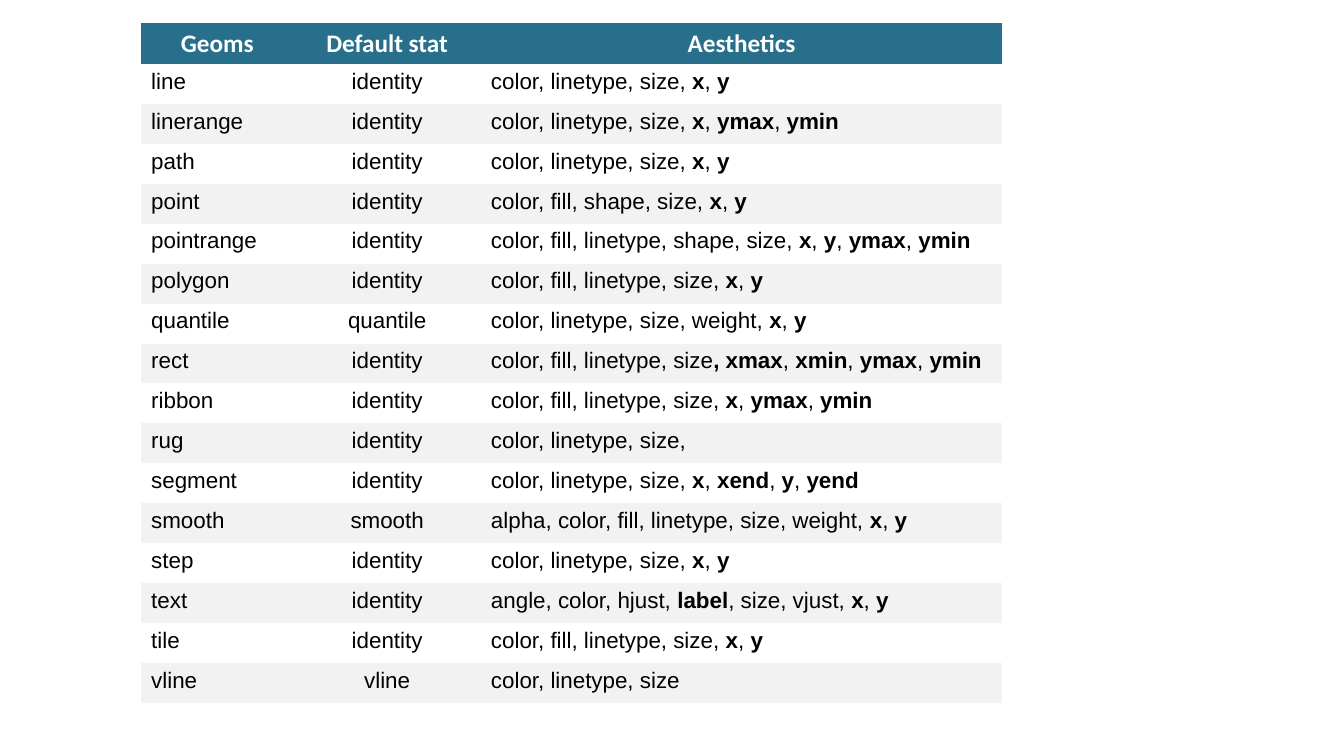
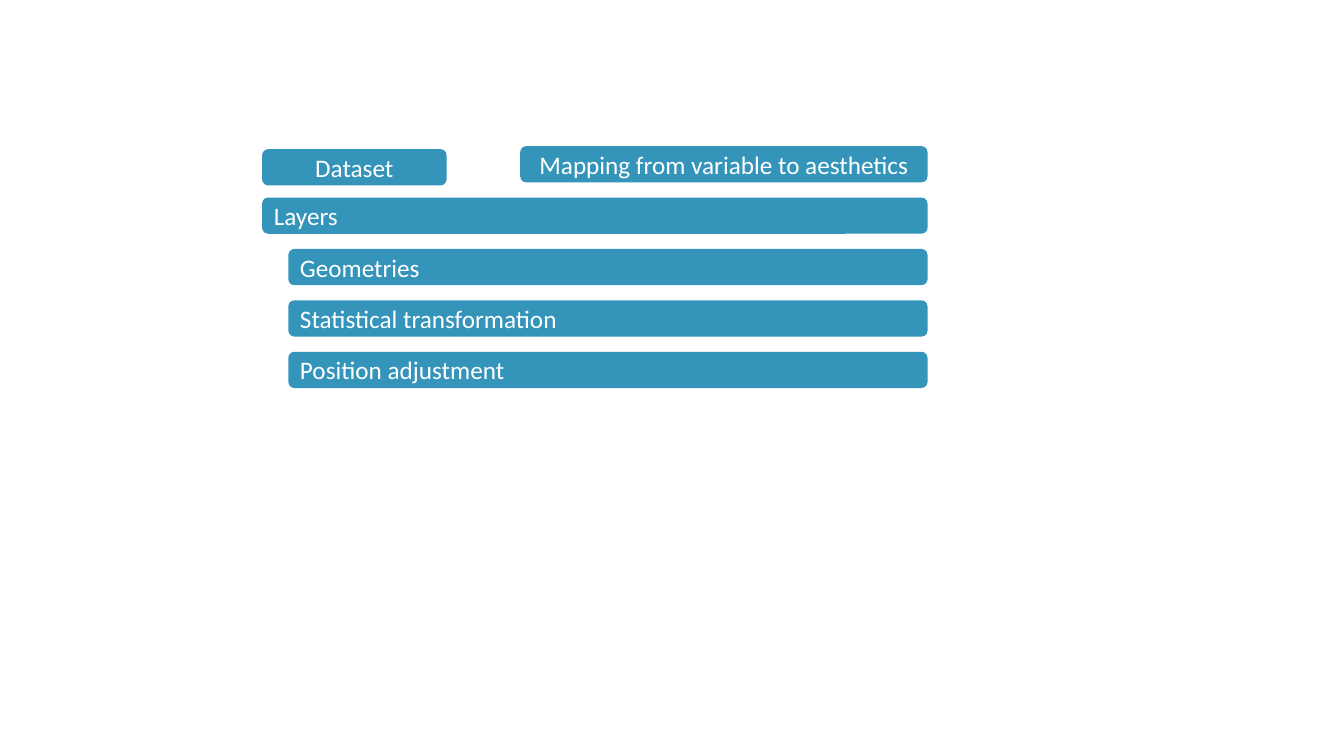
from dataclasses import dataclass

from pptx import Presentation
from pptx.dml.color import RGBColor
from pptx.enum.shapes import MSO_SHAPE
from pptx.enum.text import MSO_ANCHOR, PP_ALIGN
from pptx.oxml.ns import qn
from pptx.slide import Slide
from pptx.table import _Cell
from pptx.text.text import Font
from pptx.util import Inches, Pt

LEFT, CENTER = PP_ALIGN.LEFT, PP_ALIGN.CENTER
MIDDLE = MSO_ANCHOR.MIDDLE
ROUNDED = MSO_SHAPE.ROUNDED_RECTANGLE
BLANK = 6
PLAIN_GRID = "{2D5ABB26-0587-4C30-8999-92F81FD0307C}"


@dataclass(frozen=True)
class Theme:
    header: RGBColor = RGBColor(0x27, 0x6F, 0x8B)
    band: RGBColor = RGBColor(0xF2, 0xF2, 0xF2)
    bar: RGBColor = RGBColor(0x34, 0x94, 0xBA)
    light: RGBColor = RGBColor(0xFF, 0xFF, 0xFF)
    dark: RGBColor = RGBColor(0x00, 0x00, 0x00)
    label_font: str = "Calibri"
    label_size: int = 18
    body_font: str = "Arial"
    body_size: int = 16


@dataclass(frozen=True)
class Geom:
    name: str
    aes: str  # bold parts stand between asterisks
    stat: str = "identity"


@dataclass(frozen=True)
class Bar:
    text: str
    left: float
    top: float
    width: float
    align: PP_ALIGN = LEFT


THEME = Theme()

HEADS = ("Geoms", "Default stat", "Aesthetics")
WIDTHS = (1.51, 1.86, 5.17)
TABLE_LEFT, TABLE_TOP, TABLE_HEIGHT = 1.4, 0.23, 6.74
HEAD_HEIGHT = 0.4
GEOMS = (
    Geom("line", "color, linetype, size, *x*, *y*"),
    Geom("linerange", "color, linetype, size, *x*, *ymax*, *ymin*"),
    Geom("path", "color, linetype, size, *x*, *y*"),
    Geom("point", "color, fill, shape, size, *x*, *y*"),
    Geom("pointrange",
         "color, fill, linetype, shape, size, *x*, *y*, *ymax*, *ymin*"),
    Geom("polygon", "color, fill, linetype, size, *x*, *y*"),
    Geom("quantile", "color, linetype, size, weight, *x*, *y*", "quantile"),
    Geom("rect",
         "color, fill, linetype, size*, xmax*, *xmin*, *ymax*, *ymin*"),
    Geom("ribbon", "color, fill, linetype, size, *x*, *ymax*, *ymin*"),
    Geom("rug", "color, linetype, size,"),
    Geom("segment", "color, linetype, size, *x*, *xend*, *y*, *yend*"),
    Geom("smooth", "alpha, color, fill, linetype, size, weight, *x*, *y*",
         "smooth"),
    Geom("step", "color, linetype, size, *x*, *y*"),
    Geom("text", "angle, color, hjust, *label*, size, vjust, *x*, *y*"),
    Geom("tile", "color, fill, linetype, size, *x*, *y*"),
    Geom("vline", "color, linetype, size", "vline"),
)

BAR_HEIGHT, BAR_STEP = 0.36, 0.51
BAR_LEFT, BAR_TOP, BAR_RIGHT = 2.6, 1.45, 9.2
INDENT = 0.26
PARTS = ("Geometries", "Statistical transformation", "Position adjustment")


def style_label(font: Font, bold: bool = False) -> None:
    font.name, font.size = THEME.label_font, Pt(THEME.label_size)
    font.color.rgb, font.bold = THEME.light, bold


def style_body(font: Font, bold: bool = False) -> None:
    font.name, font.size = THEME.body_font, Pt(THEME.body_size)
    font.color.rgb, font.bold = THEME.dark, bold


def fill_head(cell: _Cell, text: str) -> None:
    cell.fill.solid()
    cell.fill.fore_color.rgb = THEME.header
    cell.text_frame.text = text
    para = cell.text_frame.paragraphs[0]
    para.alignment = CENTER
    style_label(para.runs[0].font, bold=True)


def fill_body(cell: _Cell, text: str, align: PP_ALIGN, banded: bool) -> None:
    """Write a body cell, with the parts between asterisks in bold."""
    if banded:
        cell.fill.solid()
        cell.fill.fore_color.rgb = THEME.band
    else:
        cell.fill.background()
    para = cell.text_frame.paragraphs[0]
    para.alignment = align
    for i, part in enumerate(text.split("*")):
        if part:
            run = para.add_run()
            run.text = part
            style_body(run.font, bold=i % 2 == 1)


def draw_table(slide: Slide) -> None:
    frame = slide.shapes.add_table(
        len(GEOMS) + 1, len(HEADS), Inches(TABLE_LEFT), Inches(TABLE_TOP),
        Inches(sum(WIDTHS)), Inches(TABLE_HEIGHT))
    table = frame.table
    table.first_row = True
    table.horz_banding = False
    table._tbl.tblPr.find(qn("a:tableStyleId")).text = PLAIN_GRID

    for col, width in zip(table.columns, WIDTHS):
        col.width = Inches(width)
    for row in table.rows:
        row.height = Inches((TABLE_HEIGHT - HEAD_HEIGHT) / len(GEOMS))
    table.rows[0].height = Inches(HEAD_HEIGHT)

    for c, head in enumerate(HEADS):
        fill_head(table.cell(0, c), head)
    for r, geom in enumerate(GEOMS, 1):
        texts = (geom.name, geom.stat, geom.aes)
        for c, (text, align) in enumerate(zip(texts, (LEFT, CENTER, LEFT))):
            fill_body(table.cell(r, c), text, align, banded=r % 2 == 0)


def draw_bar(slide: Slide, bar: Bar) -> None:
    shape = slide.shapes.add_shape(
        ROUNDED, Inches(bar.left), Inches(bar.top),
        Inches(bar.width), Inches(BAR_HEIGHT))
    shape.shadow.inherit = False
    shape.fill.solid()
    shape.fill.fore_color.rgb = THEME.bar
    shape.line.fill.background()
    frame = shape.text_frame
    frame.word_wrap = True
    frame.vertical_anchor = MIDDLE
    frame.text = bar.text
    para = frame.paragraphs[0]
    para.alignment = bar.align
    style_label(para.runs[0].font)


def draw_layers(slide: Slide) -> None:
    inner = BAR_LEFT + INDENT
    bars = [
        Bar("Dataset", BAR_LEFT, 1.48, 1.83, CENTER),
        Bar("Mapping from variable to aesthetics", 5.16, BAR_TOP,
            BAR_RIGHT - 5.16, CENTER),
        Bar("Layers", BAR_LEFT, BAR_TOP + BAR_STEP, BAR_RIGHT - BAR_LEFT),
    ]
    bars += [Bar(text, inner, BAR_TOP + i * BAR_STEP, BAR_RIGHT - inner)
             for i, text in enumerate(PARTS, 2)]
    for bar in bars:
        draw_bar(slide, bar)


def main() -> None:
    deck = Presentation()
    deck.slide_width, deck.slide_height = Inches(13.33), Inches(7.5)
    for draw in (draw_table, draw_layers):
        draw(deck.slides.add_slide(deck.slide_layouts[BLANK]))
    deck.save("out.pptx")


if __name__ == "__main__":
    main()
